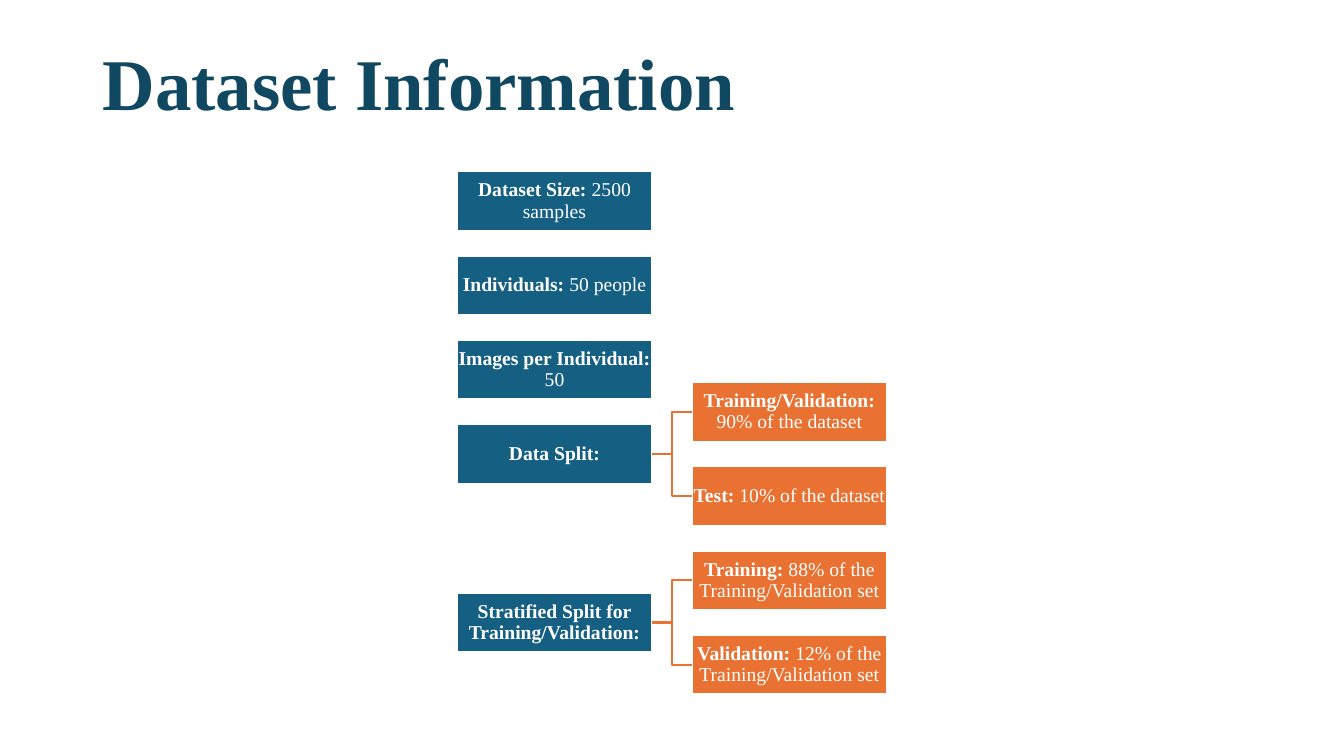
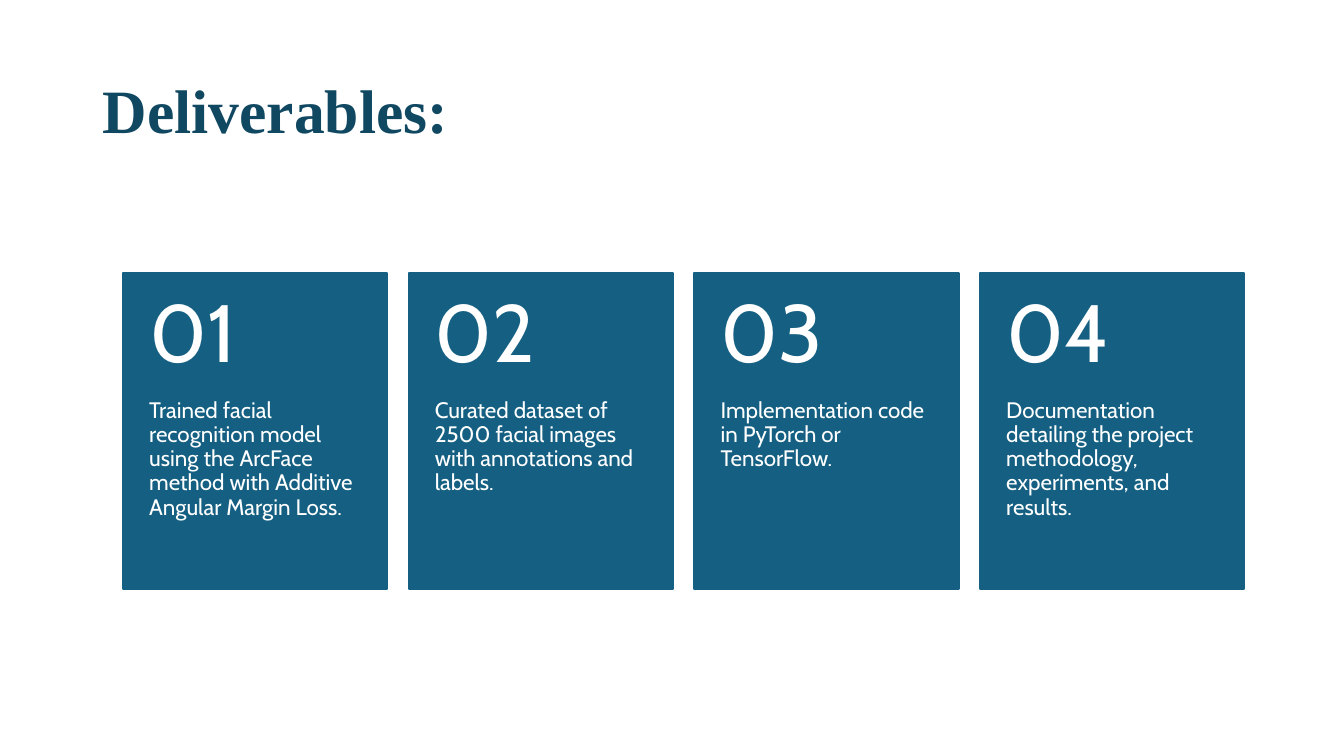
from dataclasses import dataclass

from lxml.etree import SubElement
from pptx import Presentation
from pptx.dml.color import RGBColor
from pptx.enum.shapes import MSO_CONNECTOR, MSO_SHAPE
from pptx.enum.text import MSO_ANCHOR as Anchor, PP_ALIGN as Align
from pptx.oxml.ns import qn
from pptx.util import Inches, Pt


@dataclass(frozen=True)
class Theme:
    title: str = "104862"
    primary: str = "156082"
    accent: str = "E97132"
    white: str = "FFFFFF"
    serif: str = "Times New Roman"
    sans: str = "Cabin"
    title_size: int = 44
    large_title_size: int = 52
    node_size: int = 14
    number_size: int = 58
    card_size: int = 16
    line_width: float = 1.5
    line_spacing: float = 0.9


THEME = Theme()
LEFT_SITE, RIGHT_SITE = 1, 3

# (label, detail, row, children); children sit half a row above and below
DATASET_TREE = [
    ("Dataset Size:", " 2500 samples", 0, []),
    ("Individuals:", " 50 people", 1, []),
    ("Images per Individual:", " 50", 2, []),
    ("Data Split:", "", 3, [
        ("Training/Validation:", " 90% of the dataset"),
        ("Test:", " 10% of the dataset"),
    ]),
    ("Stratified Split for Training/Validation:", "", 5, [
        ("Training:", " 88% of the Training/Validation set"),
        ("Validation:", " 12% of the Training/Validation set"),
    ]),
]
DELIVERABLES = [
    "Trained facial recognition model using the ArcFace method with Additive Angular Margin Loss.",
    "Curated dataset of 2500 facial images with annotations and labels.",
    "Implementation code in PyTorch or TensorFlow.",
    "Documentation detailing the project methodology, experiments, and results.",
]


def inches(*lengths):
    return [Inches(length) for length in lengths]


def write(shape, runs, *, size, font, color=THEME.white, align=Align.LEFT,
          anchor=Anchor.MIDDLE, insets=(0.1, 0.05, 0.1, 0.05)):
    """Fill a shape with one paragraph of (text, bold) runs."""
    frame = shape.text_frame
    frame.word_wrap = True
    frame.vertical_anchor = anchor
    (frame.margin_left, frame.margin_top,
     frame.margin_right, frame.margin_bottom) = inches(*insets)
    paragraph = frame.paragraphs[0]
    paragraph.alignment = align
    paragraph.line_spacing = THEME.line_spacing
    for text, bold in runs:
        run = paragraph.add_run()
        run.text = text
        run.font.name = font
        run.font.size = Pt(size)
        run.font.bold = bold
        run.font.color.rgb = RGBColor.from_string(color)


def add_block(slide, box, fill, outline):
    block = slide.shapes.add_shape(MSO_SHAPE.RECTANGLE, *inches(*box))
    block.shadow.inherit = False
    block.fill.solid()
    block.fill.fore_color.rgb = RGBColor.from_string(fill)
    block.line.color.rgb = RGBColor.from_string(outline)
    block.line.width = Pt(THEME.line_width)
    return block


def add_title(slide, box, text, size):
    title = slide.shapes.add_textbox(*inches(*box))
    write(title, [(text, True)], size=size, font=THEME.serif, color=THEME.title)


def add_node(slide, box, label, detail, fill):
    node = add_block(slide, box, fill, THEME.white)
    runs = [(label, True), (detail, False)] if detail else [(label, True)]
    write(node, runs, size=THEME.node_size, font=THEME.serif,
          align=Align.CENTER, insets=(0.01,) * 4)
    return node


def link(slide, parent, child):
    elbow = slide.shapes.add_connector(MSO_CONNECTOR.ELBOW, 0, 0, 0, 0)
    elbow.begin_connect(parent, RIGHT_SITE)
    elbow.end_connect(child, LEFT_SITE)
    elbow.line.color.rgb = RGBColor.from_string(THEME.accent)
    elbow.line.width = Pt(THEME.line_width)
    SubElement(elbow._element.spPr, qn("a:effectLst"))


def add_tree(slide, box, node_width=1.94, node_height=0.59, last_row=5.5):
    left, top, width, height = box
    pitch = (height - node_height) / last_row
    child_left = left + width - node_width

    def node_box(x, row):
        return x, top + row * pitch, node_width, node_height

    for label, detail, row, children in DATASET_TREE:
        parent = add_node(slide, node_box(left, row), label, detail, THEME.primary)
        for offset, (child_label, child_detail) in zip((-0.5, 0.5), children):
            child = add_node(slide, node_box(child_left, row + offset),
                             child_label, child_detail, THEME.accent)
            link(slide, parent, child)


def add_card(slide, box, number, text, number_height=1.25):
    left, top, width, height = box
    add_block(slide, box, THEME.primary, THEME.primary)
    body = slide.shapes.add_textbox(
        *inches(left, top + number_height, width, height - number_height))
    write(body, [(text, False)], size=THEME.card_size, font=THEME.sans,
          anchor=Anchor.TOP, insets=(0.26, 0, 0.26, 0.36))
    heading = slide.shapes.add_textbox(*inches(left, top, width, number_height))
    write(heading, [(f"{number:02d}", False)], size=THEME.number_size,
          font=THEME.sans, insets=(0.26, 0.18, 0.26, 0.18))


def add_card_row(slide, box, card_width=2.62):
    left, top, width, height = box
    pitch = (width - card_width) / (len(DELIVERABLES) - 1)
    for index, text in enumerate(DELIVERABLES):
        add_card(slide, (left + index * pitch, top, card_width, height),
                 index + 1, text)


def build_dataset(slide):
    add_title(slide, (0.92, 0.24, 11.5, 1.24), "Dataset Information",
              THEME.large_title_size)
    add_tree(slide, (4.53, 1.7, 4.27, 5.19))


def build_deliverables(slide):
    add_title(slide, (0.92, 0.4, 11.5, 1.45), "Deliverables:", THEME.title_size)
    add_card_row(slide, (1.22, 2.71, 11.12, 3.13))


def main():
    deck = Presentation()
    deck.slide_width, deck.slide_height = inches(13.33, 7.5)
    blank = deck.slide_layouts[6]
    for build in (build_dataset, build_deliverables):
        build(deck.slides.add_slide(blank))
    deck.save("out.pptx")


if __name__ == "__main__":
    main()
